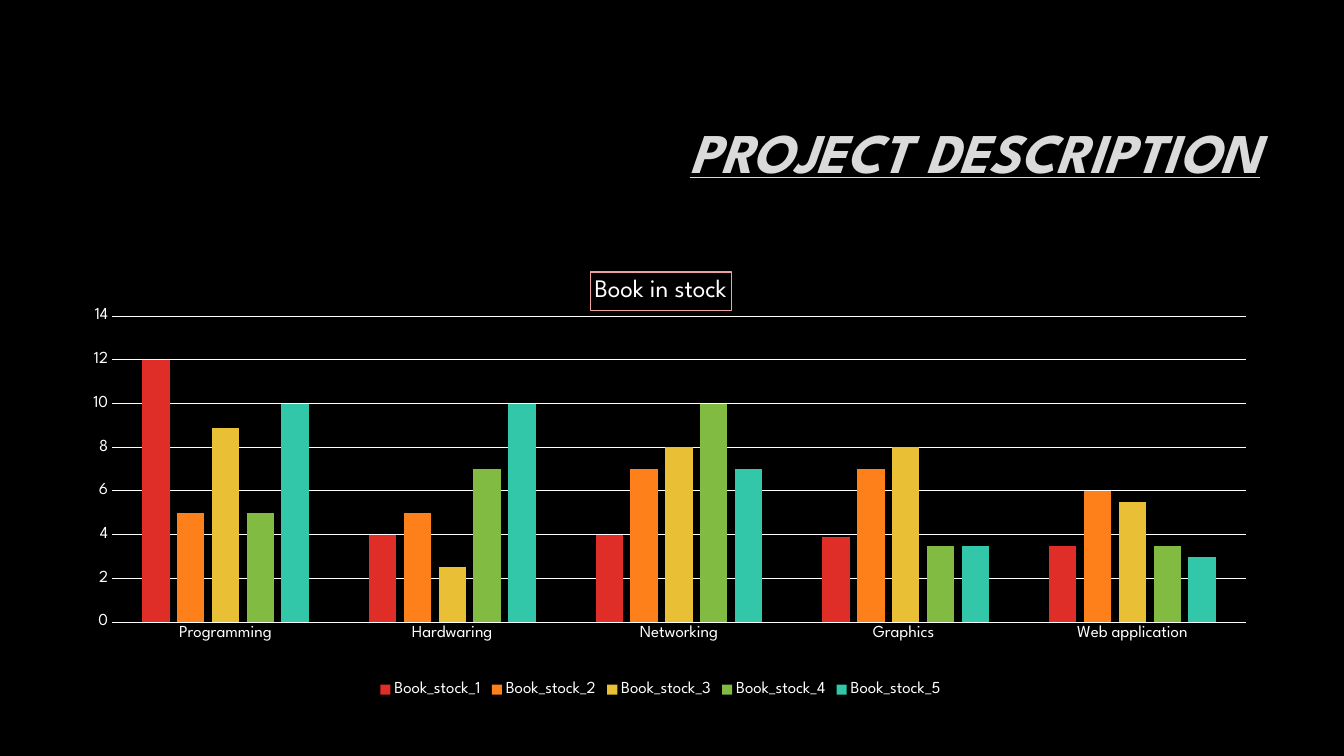
from dataclasses import dataclass

from lxml.etree import SubElement
from pptx import Presentation
from pptx.chart.data import CategoryChartData
from pptx.dml.color import RGBColor
from pptx.enum.chart import XL_CHART_TYPE, XL_LEGEND_POSITION, XL_TICK_MARK
from pptx.enum.text import MSO_ANCHOR, PP_ALIGN
from pptx.oxml.ns import qn
from pptx.util import Inches, Pt


@dataclass(frozen=True)
class Theme:
    font: str = "League Spartan"
    background: str = "000000"
    heading: str = "DADADA"
    ink: str = "FFFFFF"
    title_border: str = "F0A09D"
    stocks: tuple = ("DF2E28", "FE801A", "E9BF35", "81BB42", "32C7A9")
    heading_size: int = 40
    chart_title_size: int = 18
    label_size: int = 12
    base_size: int = 10
    line_width: float = 0.75


THEME = Theme()
SLIDE_WIDTH, SLIDE_HEIGHT = Inches(13.33), Inches(7.5)
HEADING_BOX = (0.238, 0.112, 0.707, 0.188)
STOCK_BOX = (0.048, 0.341, 0.887, 0.587)
PLOT_SHARES = {"x": 0.04, "y": 0.132, "w": 0.951, "h": 0.689}

CATEGORIES = ["Programming", "Hardwaring", "Networking", "Graphics ", "Web application"]
STOCKS = {
    "Book_stock_1": (12, 4, 4, 3.9, 3.5),
    "Book_stock_2": (5, 5, 7, 7, 6),
    "Book_stock_3": (8.9, 2.5, 8, 8, 5.5),
    "Book_stock_4": (5, 7, 10, 3.5, 3.5),
    "Book_stock_5": (10, 10, 7, 3.5, 3),
}


def set_all(target, values):
    for name, value in values.items():
        setattr(target, name, value)


def place(box):
    left, top, width, height = box
    return (int(left * SLIDE_WIDTH), int(top * SLIDE_HEIGHT),
            int(width * SLIDE_WIDTH), int(height * SLIDE_HEIGHT))


def style_font(font, size, color, **extras):
    set_all(font, {"name": THEME.font, "size": Pt(size), **extras})
    font.color.rgb = RGBColor.from_string(color)


def style_line(line, color):
    line.color.rgb = RGBColor.from_string(color)
    line.width = Pt(THEME.line_width)


def paint(fill, color):
    fill.solid()
    fill.fore_color.rgb = RGBColor.from_string(color)


def add_heading(slide, box, words):
    heading = slide.shapes.title
    left, top, width, height = place(box)
    set_all(heading, {"left": left, "top": top, "width": width, "height": height})
    set_all(heading.text_frame, {"text": words, "word_wrap": True,
                                 "vertical_anchor": MSO_ANCHOR.MIDDLE})
    paragraph = heading.text_frame.paragraphs[0]
    set_all(paragraph, {"alignment": PP_ALIGN.RIGHT, "line_spacing": 0.9})
    style_font(paragraph.runs[0].font, THEME.heading_size, THEME.heading,
               bold=True, italic=True, underline=True)


def fix_plot_area(chart, shares):
    plot_area = chart.plots[0]._element.getparent()
    for automatic in plot_area.findall(qn("c:layout")):
        plot_area.remove(automatic)
    layout = SubElement(plot_area, qn("c:layout"))
    plot_area.insert(0, layout)
    manual = SubElement(layout, qn("c:manualLayout"))
    settings = {"layoutTarget": "inner", "xMode": "edge", "yMode": "edge", **shares}
    for name, value in settings.items():
        SubElement(manual, qn(f"c:{name}")).set("val", str(value))


def style_chart_title(chart, words):
    chart.has_title = True
    title = chart.chart_title
    title.include_in_layout = False
    title.text_frame.text = words
    style_font(title.text_frame.paragraphs[0].runs[0].font,
               THEME.chart_title_size, THEME.ink, bold=False)
    style_line(title.format.line, THEME.title_border)


def style_axes(chart):
    for axis in (chart.category_axis, chart.value_axis):
        set_all(axis, {"major_tick_mark": XL_TICK_MARK.NONE,
                       "minor_tick_mark": XL_TICK_MARK.NONE})
        style_font(axis.tick_labels.font, THEME.label_size, THEME.ink)
    style_line(chart.category_axis.format.line, THEME.ink)
    amounts = chart.value_axis
    set_all(amounts, {"minimum_scale": 0, "maximum_scale": 14, "major_unit": 2,
                      "has_major_gridlines": True})
    amounts.format.line.fill.background()
    style_line(amounts.major_gridlines.format.line, THEME.ink)


def add_stock_chart(slide, box, title):
    stock_data = CategoryChartData()
    stock_data.categories = CATEGORIES
    for name, amounts in STOCKS.items():
        stock_data.add_series(name, amounts)
    chart = slide.shapes.add_chart(
        XL_CHART_TYPE.COLUMN_CLUSTERED, *place(box), stock_data).chart
    style_font(chart.font, THEME.base_size, THEME.ink)
    style_chart_title(chart, title)
    style_axes(chart)
    set_all(chart.plots[0], {"gap_width": 219, "overlap": -27, "vary_by_categories": False})
    for stock, color in zip(chart.plots[0].series, THEME.stocks):
        stock.invert_if_negative = False
        paint(stock.format.fill, color)
    chart.has_legend = True
    set_all(chart.legend, {"position": XL_LEGEND_POSITION.BOTTOM, "include_in_layout": False})
    style_font(chart.legend.font, THEME.label_size, THEME.ink)
    fix_plot_area(chart, PLOT_SHARES)


def main():
    deck = Presentation()
    set_all(deck, {"slide_width": SLIDE_WIDTH, "slide_height": SLIDE_HEIGHT})
    slide = deck.slides.add_slide(deck.slide_layouts.get_by_name("Title Only"))
    paint(slide.background.fill, THEME.background)
    add_heading(slide, HEADING_BOX, "PROJECT DESCRIPTION")
    add_stock_chart(slide, STOCK_BOX, "Book in stock")
    deck.save("out.pptx")


if __name__ == "__main__":
    main()
